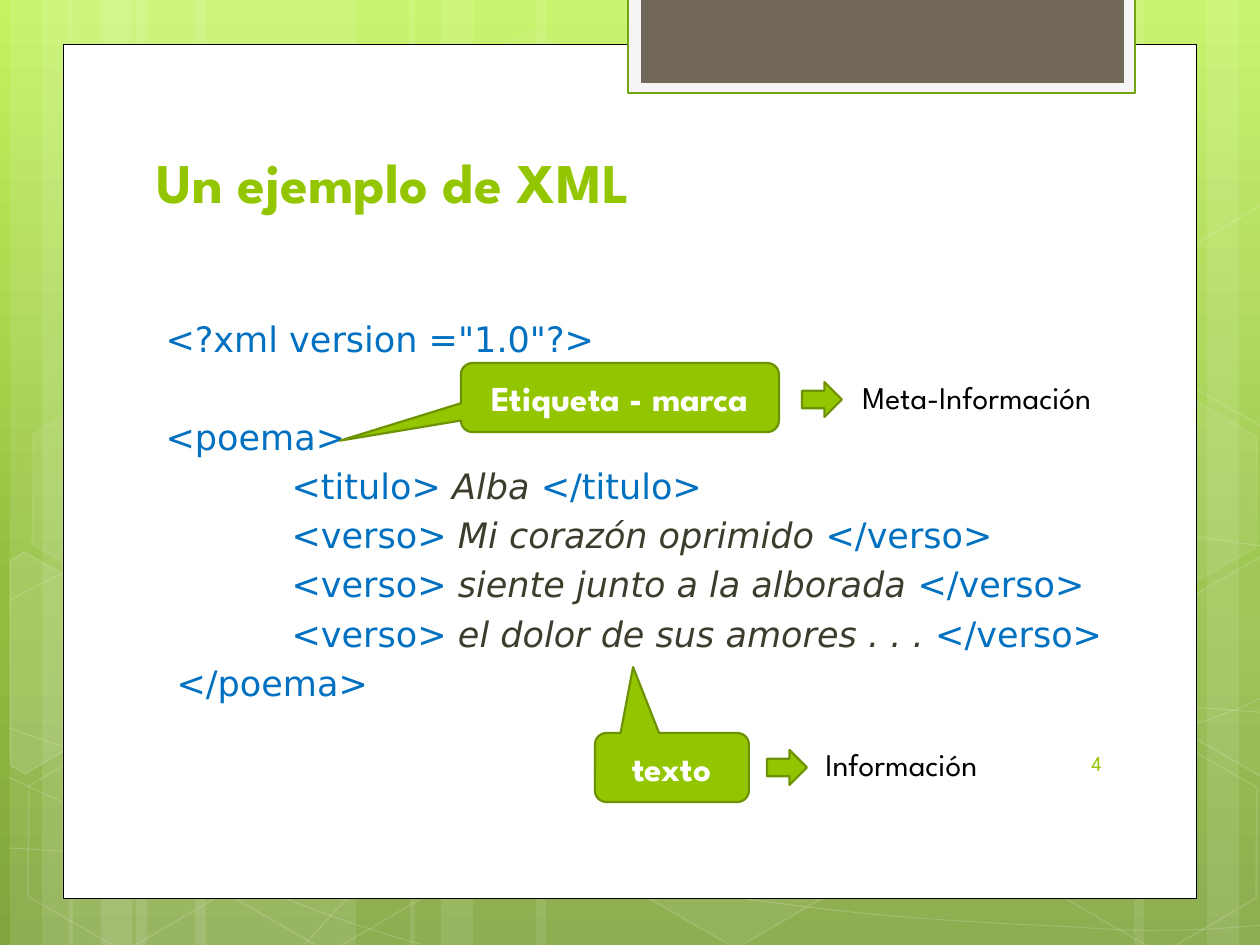
from copy import deepcopy
from math import cos, radians, sin

from lxml.etree import SubElement
from pptx import Presentation
from pptx.dml.color import RGBColor
from pptx.enum.shapes import MSO_SHAPE as Shape
from pptx.enum.text import MSO_ANCHOR as Anchor, MSO_AUTO_SIZE as AutoSize, PP_ALIGN as Align
from pptx.oxml.ns import qn
from pptx.util import Pt

PX = 914400 / 126  # EMU per px
HEADING_FONT, CODE_FONT = "League Spartan", "DejaVu Sans"

GREEN = RGBColor(0x94, 0xC6, 0x00)
DARK_GREEN = RGBColor(0x6D, 0x92, 0x00)
TAB_GREEN = RGBColor(0x74, 0xA5, 0x10)
BLUE = RGBColor(0x00, 0x70, 0xC0)
OLIVE = RGBColor(0x3E, 0x3D, 0x2D)
TAUPE = RGBColor(0x71, 0x68, 0x5A)
PALE = RGBColor(0xF5, 0xF5, 0xF5)
WHITE = RGBColor(0xFF, 0xFF, 0xFF)
BLACK = RGBColor(0x00, 0x00, 0x00)
BACKGROUND = [(0, RGBColor(0xC3, 0xF3, 0x5F)), (0.62, RGBColor(0x93, 0xBF, 0x3F)),
              (1, RGBColor(0x81, 0xA5, 0x3E))]

# Content: indent px, space before pt, (text, is markup) parts
TITLE = "Un ejemplo de XML"
MARGIN, NESTED = 9, 135
GAP, WIDE_GAP = 4.15, 32
CODE = [
    (MARGIN, 0, [('<?xml version ="1.0"?>', True)]),
    (MARGIN, WIDE_GAP, [("<poema>", True)]),
    (NESTED, GAP, [("<titulo> ", True), ("Alba ", False), ("</titulo>", True)]),
    (NESTED, GAP, [("<verso> ", True), ("Mi corazón oprimido ", False), ("</verso>", True)]),
    (NESTED, GAP, [("<verso> ", True), ("siente junto a la alborada ", False), ("</verso>", True)]),
    (NESTED, GAP, [("<verso> ", True), ("el dolor de sus amores . . . ", False), ("</verso>", True)]),
    (MARGIN + 11, GAP, [("</poema>", True)]),
]
# Callout text, box, pointer; arrow position; meaning and its box
NOTES = [
    ("Etiqueta - marca", (461, 363, 318, 69), (-0.88, 0.625), (802, 382),
     "Meta-Información", (850, 372, 307, 50)),
    ("texto", (595, 733, 154, 69), (-0.252, -1.455), (767, 750),
     "Información", (813, 739, 210, 50)),
]

# Backdrop: bars (left, width), curves (Bezier control points),
# hexagons (left, top, fill %, line %), cut hexagons (fill %, centre, corners as seen)
TILT = 30
BARS = [(136, 220), (10, 63), (42, 105), (195, 220), (69, 63), (101, 105),
        (924, 220), (1207, 63), (1134, 105), (536, 388), (410, 63), (441, 105)]
CURVES = [
    [(9, 848), (77, 852), (145, 856), (239, 854), (334, 853), (451, 851), (577, 838),
     (703, 825), (882, 801), (998, 777), (1113, 753), (1231, 716), (1269, 694)],
    [(9, 601), (45, 581), (82, 562), (152, 543), (224, 524), (326, 496), (437, 488),
     (549, 479), (685, 478), (824, 488), (963, 498), (1193, 537), (1269, 547)],
    [(8, 777), (160, 847), (311, 916), (421, 944)],
    [(9, 728), (48, 742), (88, 756), (161, 776), (234, 795), (344, 827), (450, 848),
     (554, 869), (687, 892), (791, 905), (896, 919), (1008, 924), (1075, 927),
     (1140, 932), (1158, 930), (1191, 930), (1223, 929), (1246, 926), (1269, 925)],
    [(305, 944), (328, 919), (350, 893), (381, 871), (411, 848), (454, 823), (489, 805),
     (524, 788), (546, 780), (592, 767), (638, 754), (722, 737), (766, 728),
     (811, 719), (818, 719), (857, 717), (896, 713), (958, 709), (1000, 708),
     (1045, 707), (1116, 708), (1116, 708), (1144, 708), (1173, 708), (1201, 708),
     (1223, 709), (1245, 711), (1256, 712), (1268, 713), (1264, 712), (1268, 713)],
]
HEXAGONS = [(421, 45, 4, 8), (626, 742, 6, 12), (14, 745, 0, 12), (18, 393, 7, 8),
            (219, 746, 0, 12), (949, 571, 10, 12), (1051, 747, 0, 12), (1051, 396, 7, 8)]
CUT_HEXAGONS = [
    (10, (45, 674), [(10, 561), (24, 552), (121, 607), (120, 718), (25, 774), (10, 765)]),
    (4, (1241, 655), [(1167, 611), (1261, 556), (1271, 562), (1271, 772), (1263, 777), (1167, 722)]),
    (0, (1241, 304), [(1167, 261), (1261, 205), (1273, 212), (1271, 422), (1263, 427), (1167, 372)]),
]


def emu(*lengths):
    return [round(length * PX) for length in lengths]


def paint(shape, fill=None, line=None, width=1, fill_alpha=100, line_alpha=100):
    shape.shadow.inherit = False
    if fill is None:
        shape.fill.background()
    else:
        shape.fill.solid()
        shape.fill.fore_color.rgb = fill
    if line is None:
        shape.line.fill.background()
    else:
        shape.line.color.rgb = line
        shape.line.width = Pt(width)
    for query, alpha in (("a:solidFill/a:srgbClr", fill_alpha),
                         ("a:ln/a:solidFill/a:srgbClr", line_alpha)):
        for color in shape._element.spPr.xpath(query) if alpha < 100 else []:
            SubElement(color, qn("a:alpha")).set("val", str(alpha * 1000))
    return shape


def add_preset(kind, box, **style):
    return paint(slide.shapes.add_shape(kind, *emu(*box)), **style)


def add_outline(points, close, **style):
    corners = [emu(*point) for point in points]
    builder = slide.shapes.build_freeform(*corners[0])
    builder.add_line_segments(corners[1:], close=close)
    return paint(builder.convert_to_shape(), **style)


def bend(outline):
    """Turn every three straight segments into one cubic Bezier."""
    for index, segment in enumerate(outline._element.xpath(".//a:lnTo")):
        if index % 3 == 0:
            curve = SubElement(segment.getparent(), qn("a:cubicBezTo"))
        curve.append(segment[0])
        segment.getparent().remove(segment)


def untilt(point, centre):
    x, y = point[0] - centre[0], point[1] - centre[1]
    c, s = cos(radians(TILT)), sin(radians(TILT))
    return centre[0] + x * c + y * s, centre[1] - x * s + y * c


def set_font(run, size, color, name=HEADING_FONT, bold=False, italic=False):
    run.font.size, run.font.name = Pt(size), name
    run.font.bold, run.font.italic = bold, italic
    run.font.color.rgb = color


def write(shape, text, size, color, bold=False, align=Align.LEFT, anchor=Anchor.TOP):
    frame = shape.text_frame
    frame.text = text
    frame.word_wrap, frame.vertical_anchor = True, anchor
    frame.auto_size = AutoSize.NONE
    frame.paragraphs[0].alignment = align
    set_font(frame.paragraphs[0].runs[0], size, color, bold=bold)


def place(placeholder, box):
    placeholder.left, placeholder.top, placeholder.width, placeholder.height = emu(*box)
    slide.shapes._spTree.append(placeholder._element)  # in front of the backdrop


deck = Presentation()
deck.slide_width, deck.slide_height = emu(1260, 945)
slide = deck.slides.add_slide(deck.slide_layouts[1])

# Background gradient, top to bottom
backdrop = slide.background.fill
backdrop.gradient()
backdrop.gradient_angle = 270
stop_list = slide._element.xpath(".//a:gsLst")[0]
stop_list.insert(1, deepcopy(stop_list[0]))
for stop, (position, color) in zip(backdrop.gradient_stops, BACKGROUND):
    stop.position, stop.color.rgb = position, color

# Translucent bars, curves and hexagons
for left, width in BARS:
    add_preset(Shape.RECTANGLE, (left, 0, width, 945), fill=WHITE, fill_alpha=10)
for controls in CURVES:
    bend(add_outline(controls, False, line=WHITE, width=0.5, line_alpha=20))
for left, top, fill_alpha, line_alpha in HEXAGONS:
    hexagon = add_preset(Shape.HEXAGON, (left, top, 220, 192), fill=WHITE if fill_alpha else None,
                         line=WHITE, fill_alpha=fill_alpha, line_alpha=line_alpha)
    hexagon.adjustments[0] = 0.285
    hexagon.rotation = TILT
for fill_alpha, centre, corners in CUT_HEXAGONS:
    cut = add_outline([untilt(corner, centre) for corner in corners], True, line=WHITE,
                      fill=WHITE if fill_alpha else None, fill_alpha=fill_alpha, line_alpha=12)
    cut.rotation = TILT

# Page and its top tab
add_preset(Shape.RECTANGLE, (63, 45, 1134, 854), fill=WHITE, line=BLACK, width=0.5)
add_preset(Shape.RECTANGLE, (628, -3, 507, 96), fill=PALE, line=TAB_GREEN, width=1.25)
add_preset(Shape.RECTANGLE, (641, -3, 483, 86), fill=TAUPE)

# Title and code listing
title, listing = slide.placeholders
place(title, (144, 141, 968, 112))
write(title, TITLE, 32, GREEN, bold=True)
place(listing, (144, 254, 1002, 519))
listing.text_frame.auto_size = AutoSize.NONE
listing.text_frame.margin_top = emu(63)[0]
for index, (indent, space, parts) in enumerate(CODE):
    line = listing.text_frame.add_paragraph() if index else listing.text_frame.paragraphs[0]
    line.space_before = Pt(space)
    properties = line._p.get_or_add_pPr()
    properties.set("marL", str(emu(indent)[0]))
    properties.set("indent", "0")
    SubElement(properties, qn("a:buNone"))
    for text, is_markup in parts:
        run = line.add_run()
        run.text = text
        set_font(run, 20, BLUE if is_markup else OLIVE, CODE_FONT, italic=not is_markup)

# Slide number
number = slide.shapes.add_textbox(*emu(1076, 738, 38, 50))
write(number, "4", 12, GREEN, align=Align.RIGHT, anchor=Anchor.MIDDLE)

# Callouts, each with an arrow to its meaning
for text, box, pointer, arrow_at, meaning, meaning_box in NOTES:
    callout = add_preset(Shape.ROUNDED_RECTANGULAR_CALLOUT, box, fill=GREEN, line=DARK_GREEN, width=1.25)
    callout.adjustments[0], callout.adjustments[1] = pointer
    write(callout, text, 20, WHITE, bold=True, align=Align.CENTER, anchor=Anchor.MIDDLE)
    write(slide.shapes.add_textbox(*emu(*meaning_box)), meaning, 18, BLACK)
    add_preset(Shape.RIGHT_ARROW, (*arrow_at, 40, 35), fill=GREEN, line=DARK_GREEN, width=1.25)

deck.save("out.pptx")
